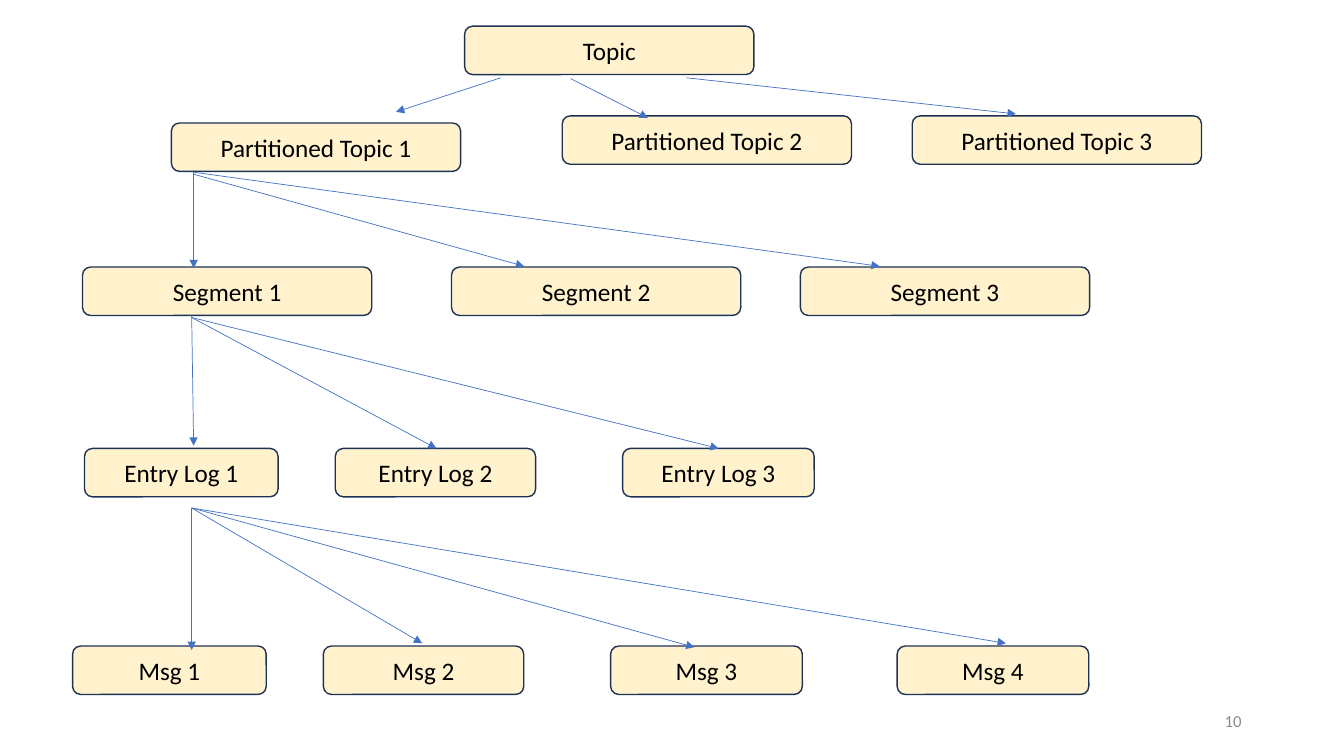
from lxml import etree
from pptx import Presentation, util as u
from pptx.dml.color import RGBColor
from pptx.enum import shapes, text
from pptx.oxml.ns import qn

FONT = "Calibri"
HIGH = 1.22
WIDE = [7.29] * 3
SLIM = [4.88, 5.05, 4.83, 4.83]
STEPS = [0, 6.32, 13.56, 20.78]

# Each level: origin, names, x offsets, y offsets, widths,
# and arrows (start x, start y, end x, end y) measured from the origin.
LEVELS = [
    ((11.71, 0.66), ["Topic"], [0], [0], WIDE, []),
    ((4.32, 2.92), [f"Partitioned Topic {n}" for n in (1, 2, 3)],
     [0, 9.85, 18.67], [0.18, 0, 0], WIDE,
     [(8.3, -0.96, 5.66, -0.1), (10.06, -0.94, 12.01, 0.05),
      (12.98, -0.96, 21.28, -0.05)]),
    ((2.08, 6.73), [f"Segment {n}" for n in (1, 2, 3)],
     [0, 9.3, 18.09], [0] * 3, WIDE,
     [(2.8, -2.44, 2.8, 0.03), (2.8, -2.34, 11.13, -0.02),
      (2.8, -2.39, 20.09, -0.02)]),
    ((2.13, 11.3), [f"Entry Log {n}" for n in (1, 2, 3)],
     STEPS, [0] * 3, SLIM,
     [(2.7, -3.35, 2.75, -0.07), (2.7, -3.3, 8.87, 0),
      (2.7, -3.3, 15.98, 0)]),
    ((1.83, 16.28), [f"Msg {n}" for n in (1, 2, 3, 4)],
     STEPS, [0] * 4, SLIM,
     [(3, -3.48, 3, 0.1), (3, -3.48, 8.81, -0.07),
      (3, -3.48, 15.67, 0.03), (3, -3.48, 23.52, -0.07)]),
]


def color(code):
    return RGBColor.from_string(code)


def write(shape, words, size, code, align):
    frame = shape.text_frame
    frame.word_wrap = True
    frame.vertical_anchor = text.MSO_ANCHOR.MIDDLE
    para = frame.paragraphs[0]
    para.alignment = align
    run = para.add_run()
    run.text = words
    run.font.name = FONT
    run.font.size = u.Pt(size)
    run.font.color.rgb = color(code)


def node(slide, name, box):
    shape = slide.shapes.add_shape(
        shapes.MSO_SHAPE.ROUNDED_RECTANGLE, *map(u.Cm, box))
    shape.shadow.inherit = False
    shape.fill.solid()
    shape.fill.fore_color.rgb = color("FFF2CC")
    shape.line.color.rgb = color("1E3256")
    shape.line.width = u.Pt(1)
    write(shape, name, 18, "000000", text.PP_ALIGN.CENTER)


def arrow(slide, ends):
    line = slide.shapes.add_connector(
        shapes.MSO_CONNECTOR.STRAIGHT, *map(u.Cm, ends))
    line.line.color.rgb = color("4472C4")
    line.line.width = u.Pt(0.5)
    props = line._element.spPr
    etree.SubElement(props.find(qn("a:ln")), qn("a:tailEnd"), type="triangle")
    etree.SubElement(props, qn("a:effectLst"))


def level(slide, origin, names, lefts, tops, widths, arrows):
    """Draw one row of nodes and the arrows that lead down to it."""
    x, y = origin
    for name, left, top, width in zip(names, lefts, tops, widths):
        node(slide, name, (x + left, y + top, width, HIGH))
    for x1, y1, x2, y2 in arrows:
        arrow(slide, (x + x1, y + y1, x + x2, y + y2))


def number(slide, box, words):
    shape = slide.shapes.add_textbox(*map(u.Cm, box))
    write(shape, words, 12, "8C8C8C", text.PP_ALIGN.RIGHT)


def main():
    deck = Presentation()
    deck.slide_width, deck.slide_height = u.Cm(33.87), u.Cm(19.05)
    slide = deck.slides.add_slide(deck.slide_layouts[6])
    for row in LEVELS:
        level(slide, *row)
    number(slide, (23.92, 17.65, 7.62, 1.02), "10")
    deck.save("out.pptx")


if __name__ == "__main__":
    main()
